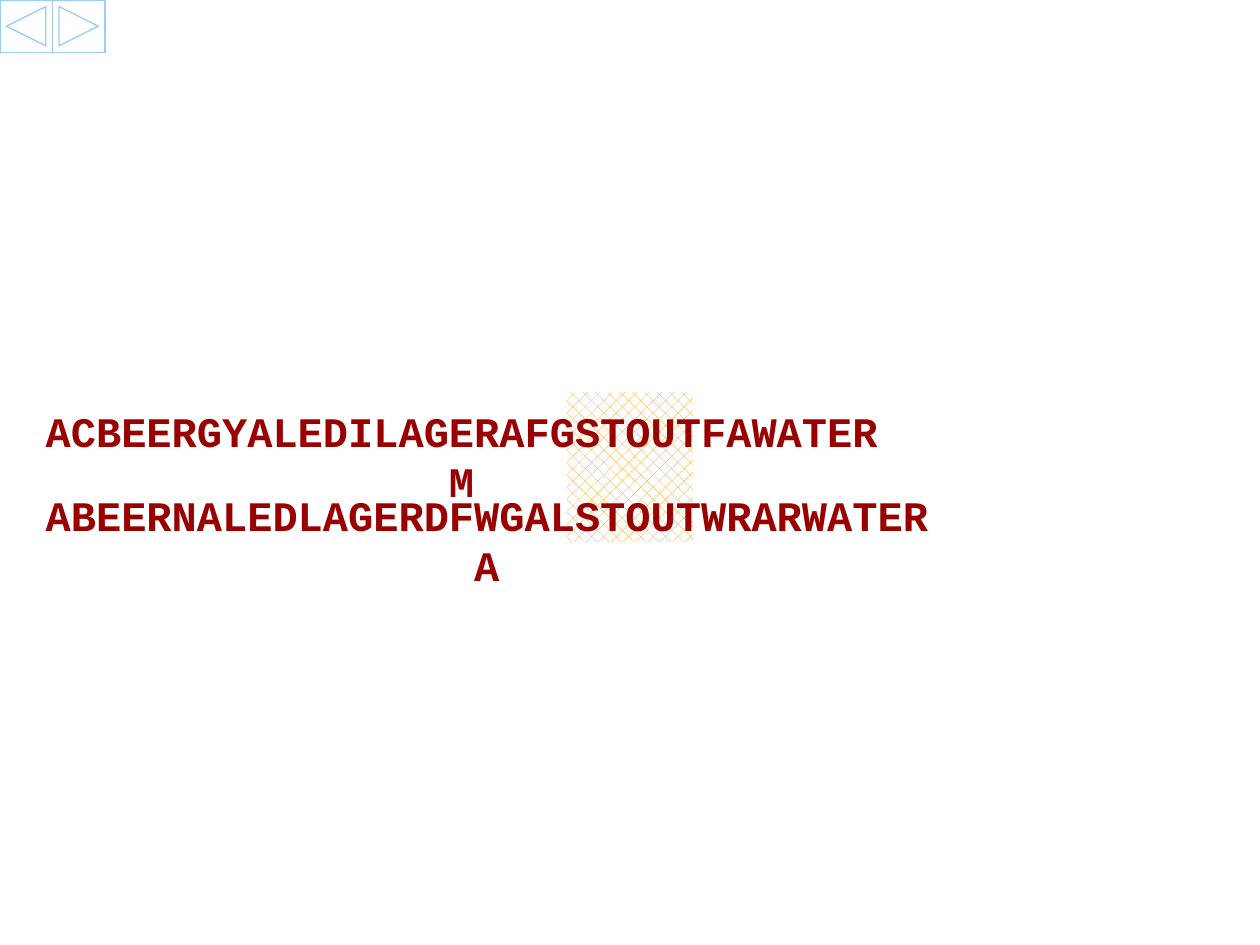
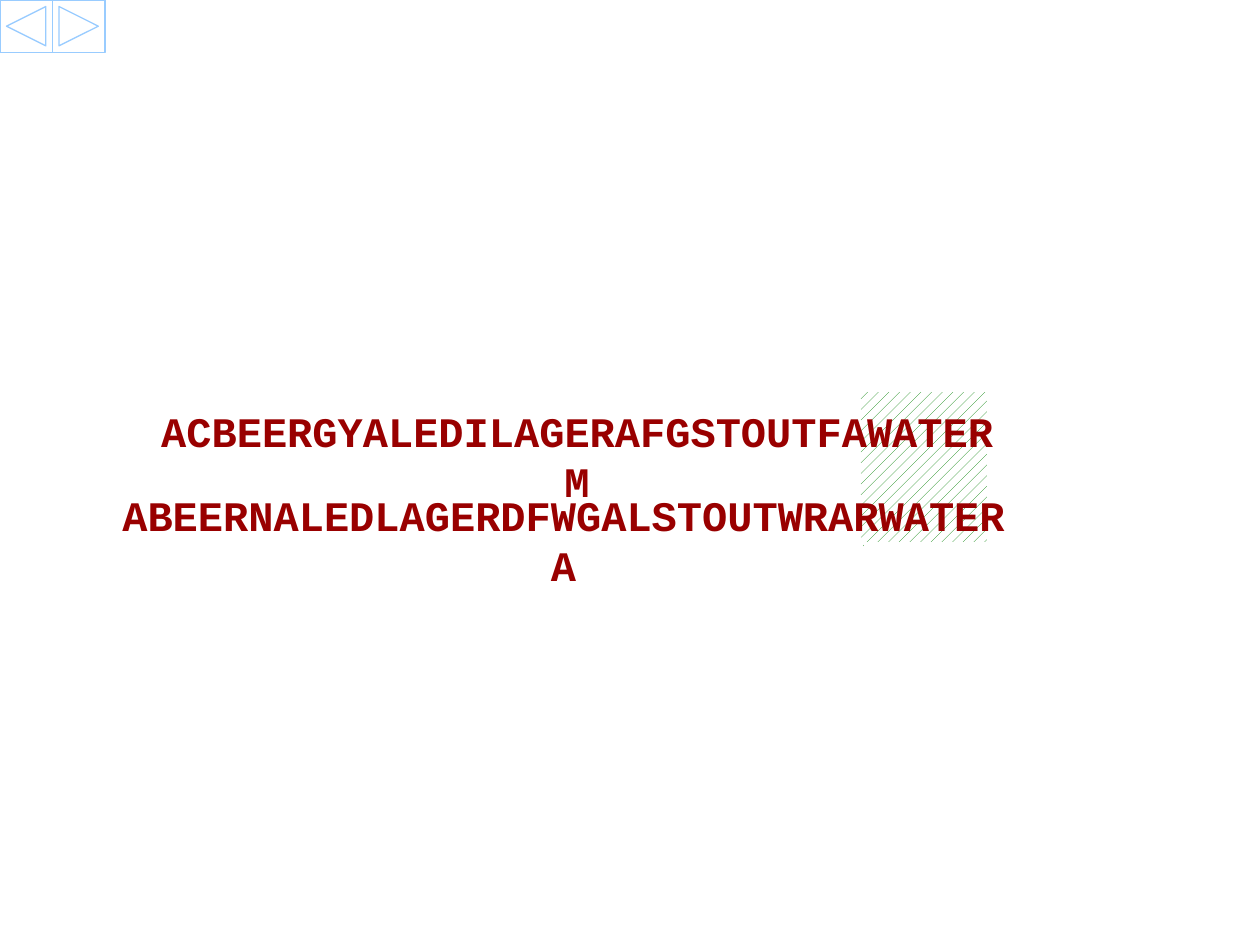
from lxml import etree
from pptx import Presentation
from pptx.dml.color import RGBColor
from pptx.enum.dml import MSO_PATTERN
from pptx.enum.shapes import MSO_CONNECTOR, MSO_SHAPE
from pptx.enum.text import MSO_AUTO_SIZE, PP_ALIGN
from pptx.oxml.ns import qn
from pptx.util import Pt

PX = 7620  # EMU in one px, 120 px to the inch

RECTANGLE = MSO_SHAPE.RECTANGLE
BACK = MSO_SHAPE.ACTION_BUTTON_BACK_OR_PREVIOUS
FORWARD = MSO_SHAPE.ACTION_BUTTON_FORWARD_OR_NEXT
STRAIGHT = MSO_CONNECTOR.STRAIGHT
HALF = MSO_PATTERN.PERCENT_50
DENSE = MSO_PATTERN.PERCENT_30
LIGHT = MSO_PATTERN.PERCENT_20
CENTER = PP_ALIGN.CENTER
GROW = MSO_AUTO_SIZE.SHAPE_TO_FIT_TEXT

WHITE = RGBColor(0xFF, 0xFF, 0xFF)
ORANGE = RGBColor(0xFF, 0x99, 0x00)
BLUE = RGBColor(0x00, 0x00, 0xFF)
RED = RGBColor(0xFF, 0x00, 0x00)
GREEN = RGBColor(0x00, 0x80, 0x00)
GRAY = RGBColor(0x33, 0x33, 0x33)
DARK_RED = RGBColor(0x99, 0x00, 0x00)
PALE_BLUE = RGBColor(0x99, 0xCC, 0xFF)

UPPER_SEQUENCE = "ACBEERGYALEDILAGERAFGSTOUTFAWATERM"
LOWER_SEQUENCE = "ABEERNALEDLAGERDFWGALSTOUTWRARWATERA"
UPPER_TOP, UPPER_WIDTH, UPPER_BARS_Y = 380, 839, 340
LOWER_TOP, LOWER_WIDTH, LOWER_BARS_Y = 460, 887, 550
BUTTON = 50

# word colour, bar length, bar starts from the upper and lower sequence's left
WORDS = [
    (ORANGE, 120, 520, 520),
    (BLUE, 90, 70, 40),
    (RED, 90, 210, 160),
    (GREEN, 120, 330, 260),
    (GRAY, 120, 690, 730),
]

# match left, match colour, match pattern, upper left, lower left
ALIGNMENTS = [
    (540, ORANGE, DENSE, 20, 20),
    (820, GREEN, LIGHT, 130, 93),
]


class Deck:
    font_name = "Courier New"
    font_size = Pt(24)
    bar_width = Pt(40)

    def __init__(self, width, height):
        self.presentation = Presentation()
        self.presentation.slide_width = width * PX
        self.presentation.slide_height = height * PX
        self.slide = None

    def add_slide(self):
        blank = self.presentation.slide_layouts[6]
        self.slide = self.presentation.slides.add_slide(blank)

    def shape(self, preset, left, top, width, height):
        shape = self.slide.shapes.add_shape(
            preset, left * PX, top * PX, width * PX, height * PX)
        shape.shadow.inherit = False
        return shape

    def hatch(self, fill, color, pattern):
        fill.patterned()
        fill.pattern = pattern
        fill.fore_color.rgb = color
        fill.back_color.rgb = WHITE

    def match(self, left, color, pattern):
        """Shade the word that both sequences share."""
        match = self.shape(RECTANGLE, left, 370, 120, 150)
        self.hatch(match.fill, color, pattern)
        match.line.fill.background()

    def word_bar(self, left, y, length, color):
        bar = self.slide.shapes.add_connector(
            STRAIGHT, left * PX, y * PX, (left + length) * PX, y * PX)
        bar.line.width = self.bar_width
        self.hatch(bar.line.fill, color, HALF)
        etree.SubElement(bar._element.spPr, qn("a:effectLst"))

    def sequence(self, letters, left, top, width):
        box = self.slide.shapes.add_textbox(
            left * PX, top * PX, width * PX, 60 * PX)
        frame = box.text_frame
        frame.word_wrap = True
        frame.auto_size = GROW
        line = frame.paragraphs[0]
        line.text = letters
        line.alignment = CENTER
        line.font.name = self.font_name
        line.font.size = self.font_size
        line.font.bold = True
        line.font.color.rgb = DARK_RED

    def navigation(self):
        for place, preset in enumerate((BACK, FORWARD)):
            button = self.shape(preset, place * BUTTON, 0, BUTTON, BUTTON)
            button.fill.background()
            button.line.color.rgb = PALE_BLUE
            button.line.width = Pt(0.75)


def main():
    deck = Deck(1200, 900)
    for match_left, match_color, pattern, upper_left, lower_left in ALIGNMENTS:
        deck.add_slide()
        deck.match(match_left, match_color, pattern)
        deck.sequence(LOWER_SEQUENCE, lower_left, LOWER_TOP, LOWER_WIDTH)
        for color, length, upper_start, lower_start in WORDS:
            deck.word_bar(upper_left + upper_start, UPPER_BARS_Y, length, color)
            deck.word_bar(lower_left + lower_start, LOWER_BARS_Y, length, color)
        deck.sequence(UPPER_SEQUENCE, upper_left, UPPER_TOP, UPPER_WIDTH)
        deck.navigation()
    deck.presentation.save("out.pptx")


if __name__ == "__main__":
    main()
